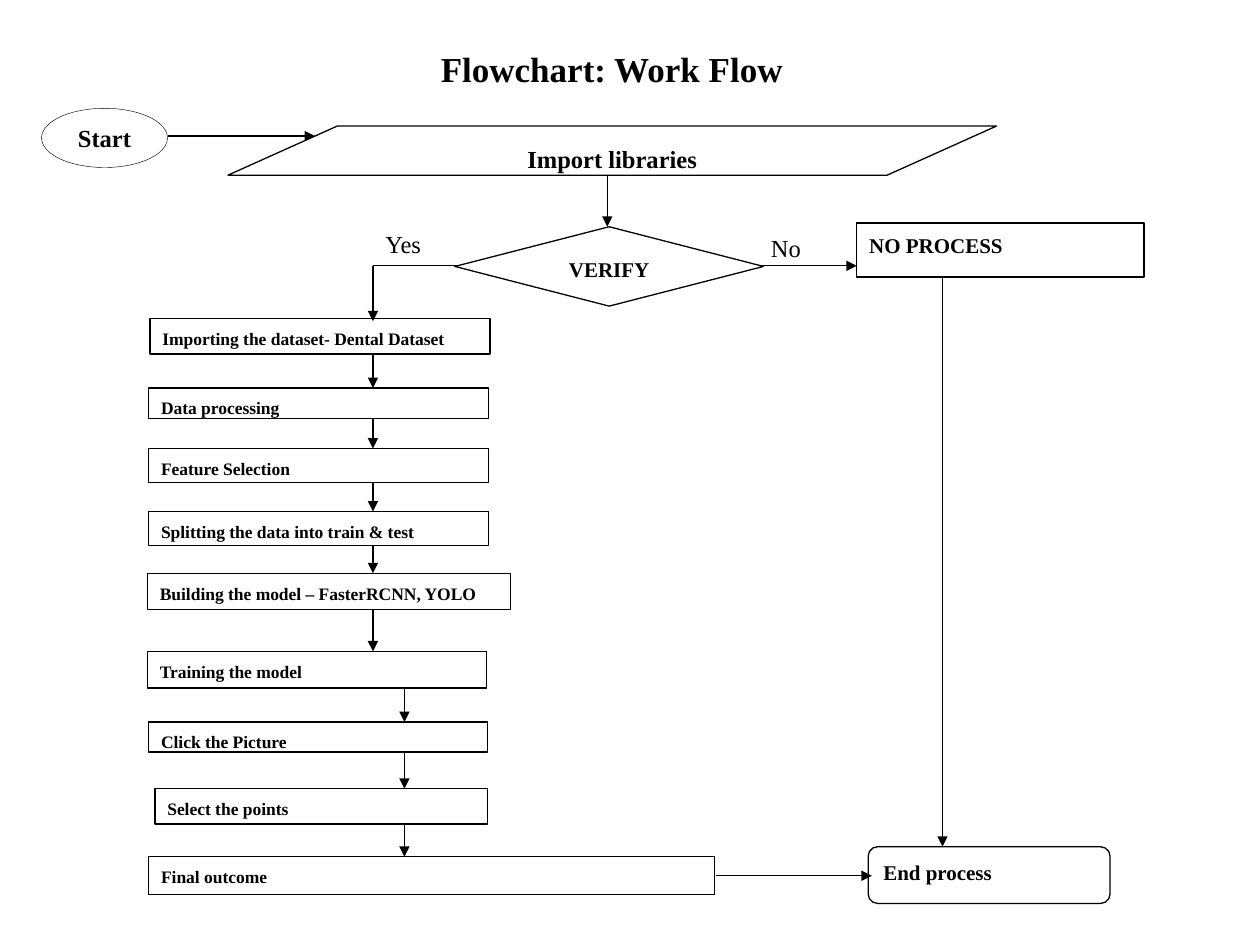
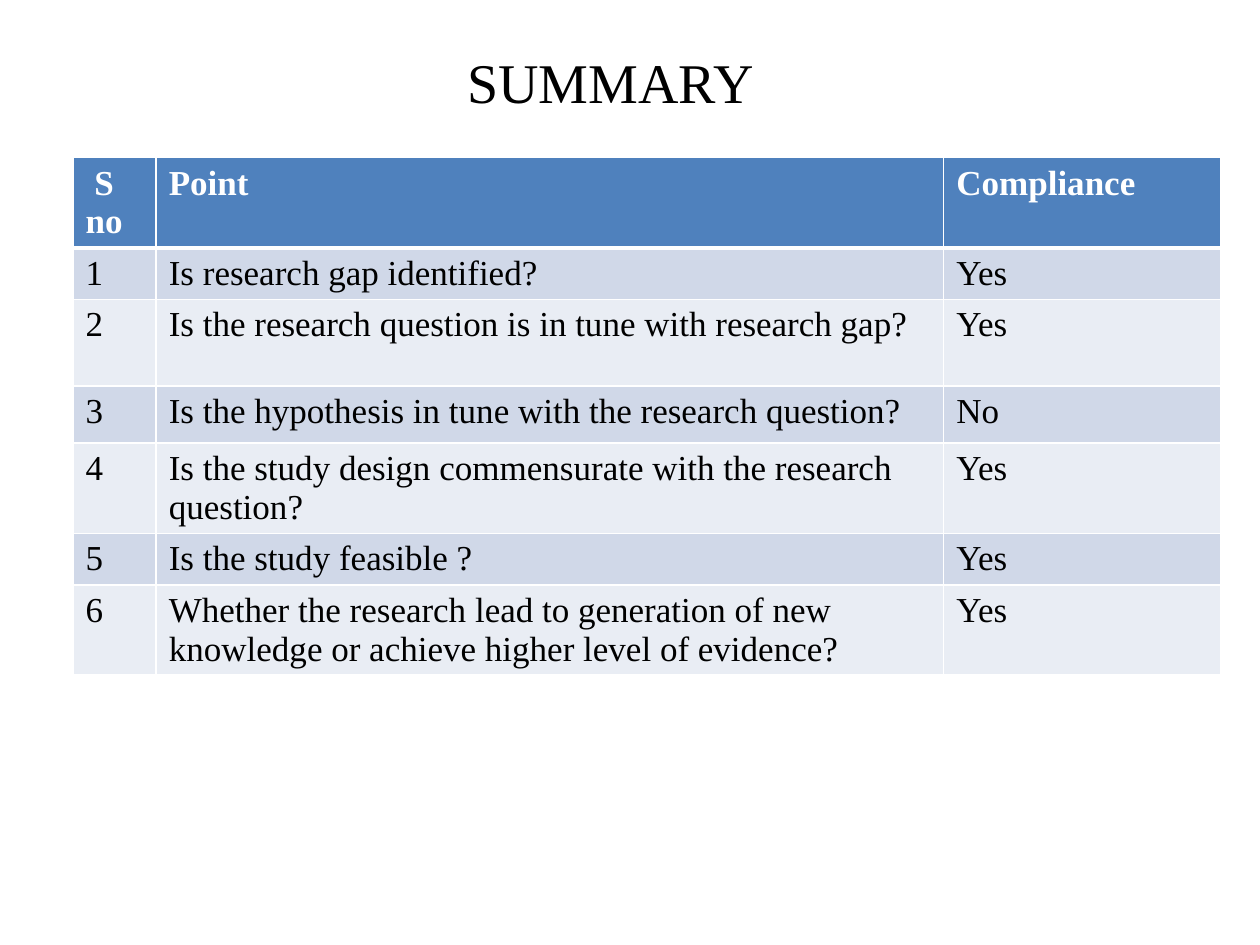
import itertools
from dataclasses import dataclass

import pptx
import pptx.dml.color
import pptx.enum.shapes
import pptx.enum.text
import pptx.oxml
import pptx.oxml.ns
import pptx.util
from pptx.util import Inches

SHAPES = pptx.enum.shapes.MSO_SHAPE
ALIGN = pptx.enum.text.PP_ALIGN
ANCHOR = pptx.enum.text.MSO_ANCHOR


@dataclass(frozen=True)
class Theme:
    font: str = "Times New Roman"
    black: str = "000000"
    white: str = "FFFFFF"
    header_fill: str = "4F81BD"
    bands: tuple[str, str] = ("D0D8E8", "E9EDF4")
    step_size: float = 10
    block_size: float = 12
    label_size: float = 14
    heading_size: float = 20
    title_size: float = 32
    line_width: float = 0.75
    thin_line: float = 0.25
    grid_width: float = 1
    header_rule: float = 3
    line_spacing: float = 1.15
    space_after: float = 10


THEME = Theme()


@dataclass(frozen=True)
class Box:
    left: float
    top: float
    width: float
    height: float

    @property
    def bottom(self) -> float:
        return self.top + self.height

    def lengths(self) -> tuple:
        return tuple(Inches(v) for v in (self.left, self.top, self.width, self.height))


@dataclass(frozen=True)
class Node:
    """A flowchart block with one paragraph of bold text."""
    text: str
    box: Box
    kind: SHAPES = SHAPES.RECTANGLE
    size: float = THEME.step_size
    align: ALIGN = ALIGN.LEFT
    anchor: ANCHOR = ANCHOR.TOP
    line_width: float = THEME.line_width
    adjustment: float | None = None
    document_spacing: bool = True


@dataclass(frozen=True)
class Link:
    start: tuple[float, float]
    end: tuple[float, float]
    arrow: bool = True


STEPS = [
    Node("Importing the dataset- Dental Dataset", Box(1.19, 2.53, 2.7, 0.28)),
    Node("Data processing", Box(1.18, 3.08, 2.7, 0.24)),
    Node("Feature Selection", Box(1.18, 3.56, 2.7, 0.27)),
    Node("Splitting the data into train & test", Box(1.18, 4.06, 2.7, 0.27)),
    Node("Building the model – FasterRCNN, YOLO", Box(1.17, 4.55, 2.88, 0.29)),
    Node("Training the model", Box(1.17, 5.17, 2.69, 0.29)),
    Node("Click the Picture", Box(1.18, 5.73, 2.69, 0.24)),
    Node("Select the points", Box(1.23, 6.26, 2.64, 0.28)),
    Node("Final outcome", Box(1.18, 6.8, 4.49, 0.3)),
]
YES_X = 2.96
LATE_STEP_X = 3.21
FIRST_LATE_STEP = 5
VERIFY_Y = 2.11

BLOCKS = [
    Node("Import libraries", Box(1.81, 1, 6.1, 0.39), SHAPES.PARALLELOGRAM,
         THEME.label_size, ALIGN.CENTER, adjustment=2.226),
    Node("VERIFY", Box(3.61, 1.8, 2.45, 0.63), SHAPES.FLOWCHART_DECISION,
         THEME.block_size, ALIGN.CENTER),
    Node("NO PROCESS", Box(6.8, 1.77, 2.28, 0.43), size=THEME.block_size),
    Node("End process", Box(6.89, 6.72, 1.92, 0.45),
         SHAPES.FLOWCHART_ALTERNATE_PROCESS, THEME.block_size),
    Node("Start", Box(0.33, 0.86, 1, 0.47), SHAPES.OVAL, THEME.label_size,
         ALIGN.CENTER, ANCHOR.MIDDLE, THEME.thin_line, document_spacing=False),
]

BRANCHES = [
    Link((1.33, 1.08), (2.5, 1.08)),
    Link((4.82, 1.4), (4.82, 1.8)),
    Link((3.64, VERIFY_Y), (YES_X, VERIFY_Y), arrow=False),
    Link((YES_X, VERIFY_Y), (YES_X, 2.55)),
    Link((6.02, VERIFY_Y), (6.8, VERIFY_Y)),
    Link((7.48, 2.21), (7.48, 6.72)),
    Link((5.68, 6.95), (6.92, 6.95)),
]

TABLE_BOX = Box(0.58, 1.25, 9.11, 3.99)
COLUMN_WIDTHS = (0.66, 6.25, 2.2)
ROW_HEIGHTS = (0.69, 0.39, 0.69, 0.45, 0.69, 0.39, 0.69)
TABLE_HEADER = (" S no", "Point", "Compliance")
CHECKLIST = [
    ("Is research gap identified?", "Yes"),
    ("Is the research question is in tune with research gap?", "Yes"),
    ("Is the hypothesis in tune with the research question?", "No"),
    ("Is the study design commensurate with the research question?", "Yes"),
    ("Is the study feasible ?", "Yes"),
    ("Whether the research lead to generation of new knowledge "
     "or achieve higher level of evidence?", "Yes"),
]


def rgb(color: str) -> pptx.dml.color.RGBColor:
    return pptx.dml.color.RGBColor.from_string(color)


def add_run(paragraph, text: str, size: float, bold: bool = False,
            color: str = THEME.black) -> None:
    run = paragraph.add_run()
    run.text = text
    run.font.name = THEME.font
    run.font.size = pptx.util.Pt(size)
    run.font.bold = bold
    run.font.color.rgb = rgb(color)


def add_text(slide, text: str, box: Box, size: float, bold: bool = False,
             indent: float = 0) -> None:
    frame = slide.shapes.add_textbox(*box.lengths()).text_frame
    frame.word_wrap = True
    paragraph = frame.paragraphs[0]
    if indent:
        paragraph._p.get_or_add_pPr().set("marL", str(Inches(indent)))
    add_run(paragraph, text, size, bold)


def add_node(slide, node: Node) -> None:
    shape = slide.shapes.add_shape(node.kind, *node.box.lengths())
    shape.shadow.inherit = False
    shape.fill.solid()
    shape.fill.fore_color.rgb = rgb(THEME.white)
    shape.line.color.rgb = rgb(THEME.black)
    shape.line.width = pptx.util.Pt(node.line_width)
    if node.adjustment is not None:
        shape.adjustments[0] = node.adjustment
    frame = shape.text_frame
    frame.word_wrap = True
    frame.vertical_anchor = node.anchor
    paragraph = frame.paragraphs[0]
    paragraph.alignment = node.align
    if node.document_spacing:
        paragraph.line_spacing = THEME.line_spacing
        paragraph.space_after = pptx.util.Pt(THEME.space_after)
    add_run(paragraph, node.text, node.size, bold=True)


def add_link(slide, link: Link) -> None:
    connector = slide.shapes.add_connector(
        pptx.enum.shapes.MSO_CONNECTOR.STRAIGHT,
        *(Inches(value) for value in link.start + link.end))
    connector.line.color.rgb = rgb(THEME.black)
    connector.line.width = pptx.util.Pt(THEME.line_width)
    properties = connector._element.spPr
    if link.arrow:
        tail = pptx.oxml.parse_xml(
            f'<a:tailEnd {pptx.oxml.ns.nsdecls("a")} type="triangle"/>')
        properties.find(pptx.oxml.ns.qn("a:ln")).append(tail)
    properties.append(pptx.oxml.parse_xml(
        f'<a:effectLst {pptx.oxml.ns.nsdecls("a")}/>'))


def step_links() -> list[Link]:
    """Join each step to the one below it."""
    links = []
    for index, (upper, lower) in enumerate(itertools.pairwise(STEPS)):
        x = YES_X if index < FIRST_LATE_STEP else LATE_STEP_X
        links.append(Link((x, upper.box.bottom), (x, lower.box.top)))
    return links


def set_borders(cell, top: float, bottom: float) -> None:
    widths = {"L": THEME.grid_width, "R": THEME.grid_width, "T": top, "B": bottom}
    for side, width in widths.items():
        cell._tc.get_or_add_tcPr().append(pptx.oxml.parse_xml(
            f'<a:ln{side} {pptx.oxml.ns.nsdecls("a")} w="{pptx.util.Pt(width)}">'
            f'<a:solidFill><a:srgbClr val="{THEME.white}"/></a:solidFill>'
            f'</a:ln{side}>'))


def build_flowchart(slide) -> None:
    add_text(slide, "Flowchart: Work Flow", Box(1.58, 0.33, 5, 0.44),
             THEME.heading_size, bold=True, indent=1.82)
    for node in BLOCKS + STEPS:
        add_node(slide, node)
    for link in BRANCHES + step_links():
        add_link(slide, link)
    add_text(slide, "Yes", Box(2.96, 1.77, 0.68, 0.34), THEME.label_size)
    add_text(slide, "No", Box(6.02, 1.8, 0.56, 0.34), THEME.label_size)


def build_summary(slide) -> None:
    rows = [TABLE_HEADER] + [
        (str(number), *entry) for number, entry in enumerate(CHECKLIST, 1)]
    table = slide.shapes.add_table(
        len(rows), len(TABLE_HEADER), *TABLE_BOX.lengths()).table
    table.horz_banding = False
    for column, width in zip(table.columns, COLUMN_WIDTHS):
        column.width = Inches(width)
    for index, (row, height, texts) in enumerate(zip(table.rows, ROW_HEIGHTS, rows)):
        row.height = Inches(height)
        header = index == 0
        fill = THEME.header_fill if header else THEME.bands[(index - 1) % 2]
        top = THEME.header_rule if index == 1 else THEME.grid_width
        bottom = THEME.header_rule if header else THEME.grid_width
        for cell, text in zip(row.cells, texts):
            set_borders(cell, top, bottom)
            cell.fill.solid()
            cell.fill.fore_color.rgb = rgb(fill)
            add_run(cell.text_frame.paragraphs[0], text, THEME.heading_size,
                    header, THEME.white if header else THEME.black)
    add_text(slide, "SUMMARY", Box(1.17, 0.33, 4.97, 0.64),
             THEME.title_size, indent=2.44)


def main() -> None:
    presentation = pptx.Presentation()
    presentation.slide_width = Inches(10)
    presentation.slide_height = Inches(7.5)
    blank = presentation.slide_layouts[6]
    for build in (build_flowchart, build_summary):
        build(presentation.slides.add_slide(blank))
    presentation.save("out.pptx")


if __name__ == "__main__":
    main()
